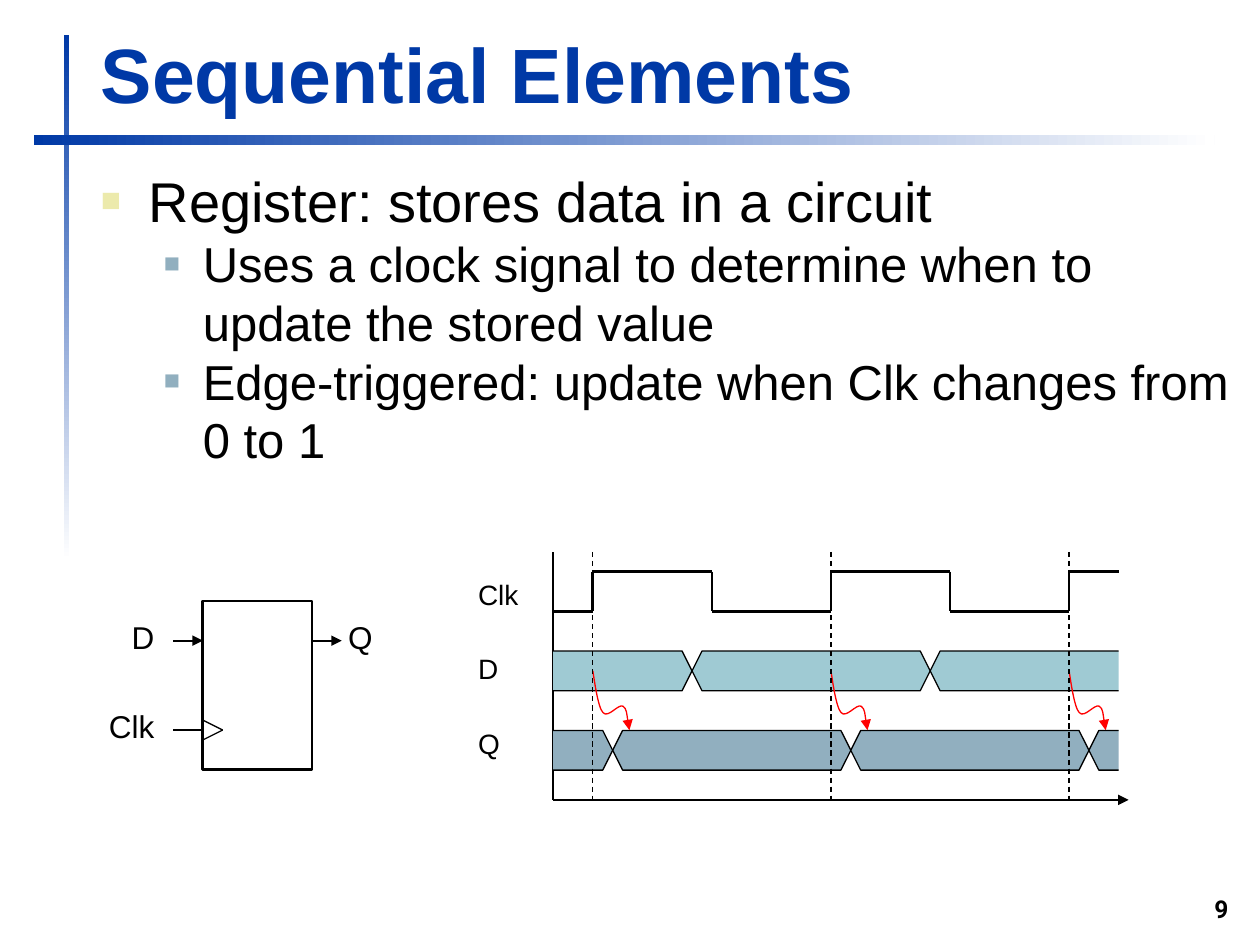
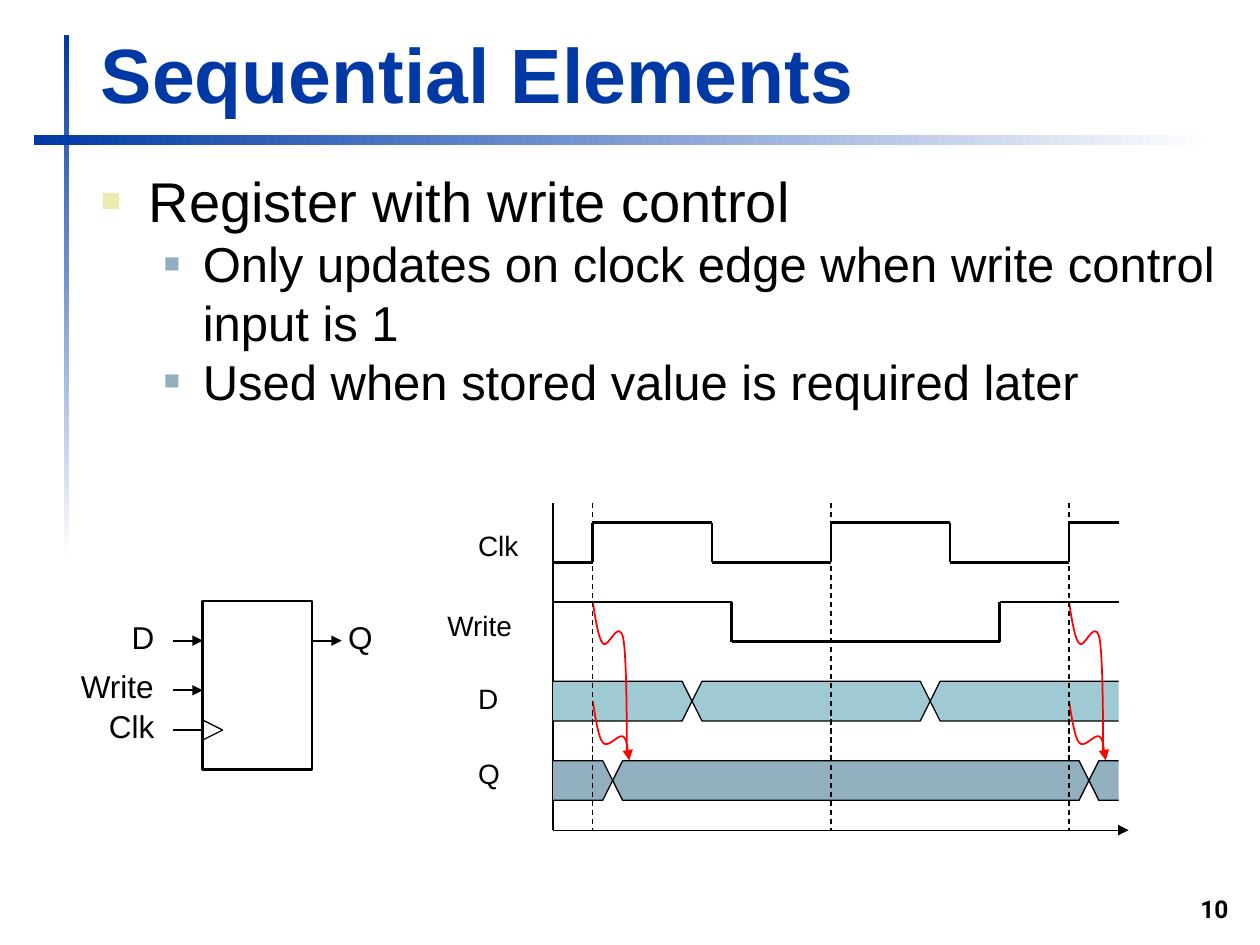
from dataclasses import dataclass
from typing import Any

from lxml import etree
from pptx import Presentation
from pptx.dml.color import RGBColor
from pptx.enum.dml import MSO_LINE
from pptx.enum.shapes import MSO_CONNECTOR, MSO_SHAPE
from pptx.enum.text import MSO_ANCHOR, PP_ALIGN
from pptx.oxml.ns import qn
from pptx.util import Inches, Pt

BLUE = RGBColor(0x00, 0x39, 0xA6)
WHITE = RGBColor(0xFF, 0xFF, 0xFF)
BLACK = RGBColor(0x00, 0x00, 0x00)
RED = RGBColor(0xFF, 0x00, 0x00)
CREAM = RGBColor(0xEC, 0xEA, 0xAC)
STEEL = RGBColor(0x91, 0xAF, 0xBF)
AQUA = RGBColor(0x9F, 0xCA, 0xD3)

CELL = Inches(0.1)           # the slide is 100 columns by 75 rows
PERIOD = 18.9                # one clock period in columns
UNIT = CELL * PERIOD / 12    # grid step of both diagrams
INSET = Inches(0.05)
LABEL_EMS = {"D": 0.74, "Q": 0.82, "Clk": 1.46, "Write": 2.35}

# Timing diagram, in units from its top left corner
CLOCK_EDGES = (2, 14, 26)
TIME_END = 28.5
BUS_HEIGHT = 2
ROW_PITCH = 4

# Bezier points in inches from the start of each cause-and-effect arrow
DATA_ARROW = ((0.01, 0.06), (0.04, 0.29), (0.08, 0.33), (0.12, 0.38), (0.2, 0.26),
              (0.24, 0.28), (0.27, 0.3), (0.28, 0.43), (0.29, 0.47))
WRITE_ARROW = ((0.01, 0.06), (0.04, 0.29), (0.08, 0.33), (0.12, 0.38), (0.2, 0.13),
               (0.24, 0.28), (0.27, 0.42), (0.27, 1.01), (0.27, 1.2))


def cells(*values):
    return [round(value * CELL) for value in values]


def style_line(shape, color, width, arrow=False, dashed=False):
    shape.line.color.rgb = color
    shape.line.width = Pt(width)
    if dashed:
        shape.line.dash_style = MSO_LINE.DASH
    properties = shape._element.spPr
    if arrow:
        etree.SubElement(properties.find(qn("a:ln")), qn("a:tailEnd"), type="triangle")
    if properties.find(qn("a:effectLst")) is None:
        etree.SubElement(properties, qn("a:effectLst"))


def add_bullet(paragraph, color, percent, margin, hanging):
    properties = paragraph._p.get_or_add_pPr()
    properties.set("marL", str(Inches(margin)))
    properties.set("indent", str(-Inches(hanging)))
    bullet_color = etree.SubElement(properties, qn("a:buClr"))
    etree.SubElement(bullet_color, qn("a:srgbClr"), val=str(color))
    etree.SubElement(properties, qn("a:buSzPct"), val=str(percent * 1000))
    etree.SubElement(properties, qn("a:buFont"), typeface="Arial")
    etree.SubElement(properties, qn("a:buChar"), char="■")


def format_paragraph(paragraph, text, size=18, font="Arial", color=BLACK,
                     bold=False, align=PP_ALIGN.LEFT):
    paragraph.text = text
    paragraph.alignment = align
    paragraph.font.name = font
    paragraph.font.size = Pt(size)
    paragraph.font.bold = bold
    paragraph.font.color.rgb = color


def add_frame(shapes, box, wrap=True, anchor=MSO_ANCHOR.TOP):
    frame = shapes.add_textbox(*box).text_frame
    frame.word_wrap = wrap
    frame.vertical_anchor = anchor
    frame.margin_left = frame.margin_right = INSET
    frame.margin_top = frame.margin_bottom = INSET
    return frame


def add_text(shapes, box, text, wrap=True, anchor=MSO_ANCHOR.TOP, **text_format):
    frame = add_frame(shapes, box, wrap, anchor)
    format_paragraph(frame.paragraphs[0], text, **text_format)


@dataclass
class Panel:
    """A diagram area whose parts are placed in units from its corner."""
    shapes: Any
    left: int
    top: int

    def point(self, x, y):
        return round(self.left + x * UNIT), round(self.top + y * UNIT)

    def line(self, start, end, width=0.75, **options):
        connector = self.shapes.add_connector(
            MSO_CONNECTOR.STRAIGHT, *self.point(*start), *self.point(*end))
        style_line(connector, BLACK, width, **options)

    def label(self, text, x, y, size, right=False):
        width = round(LABEL_EMS[text] * Pt(size)) + 2 * INSET
        left, top = self.point(x, y)
        box = (left - width if right else left, top, width, Pt(size * 1.12) + 2 * INSET)
        add_text(self.shapes, box, text, wrap=False, size=size)

    def steps(self, points):
        for start, end in zip(points, points[1:]):
            self.line(start, end, width=1.5)

    def bus(self, row, crossings, fill):
        """Draw the valid-data cells between the crossings, open at both ends."""
        bottom, middle = row + BUS_HEIGHT, row + BUS_HEIGHT / 2
        ends = (0, *crossings, TIME_END)
        for start, end in zip(ends, ends[1:]):
            left_tip = [(start, middle)] if start else []
            right_tip = [(end, middle)] if end < TIME_END else []
            near = start + 0.5 if left_tip else start
            far = end - 0.5 if right_tip else end
            if right_tip:
                outline = [(near, row), (far, row), *right_tip, (far, bottom), (near, bottom)]
                outline += left_tip
            else:
                outline = [(far, row), (near, row), *left_tip, (near, bottom), (far, bottom)]
            points = [self.point(*corner) for corner in outline]
            builder = self.shapes.build_freeform(*points[0])
            builder.add_line_segments(points[1:], close=bool(left_tip and right_tip))
            shape = builder.convert_to_shape()
            shape.fill.solid()
            shape.fill.fore_color.rgb = fill
            style_line(shape, BLACK, 0.75)

    def curve(self, start, offsets, width, arrow=False):
        left, top = self.point(*start)
        builder = self.shapes.build_freeform(left, top)
        builder.add_line_segments(
            [(left + Inches(x), top + Inches(y)) for x, y in offsets], close=False)
        shape = builder.convert_to_shape()
        shape.fill.background()
        # Every three straight segments become one Bezier segment
        outline = next(shape._element.iter(qn("a:path")))
        segments = outline.findall(qn("a:lnTo"))
        for index, segment in enumerate(segments):
            if index % 3 == 0:
                bezier = etree.SubElement(outline, qn("a:cubicBezTo"))
            bezier.append(segment[0])
            outline.remove(segment)
        style_line(shape, RED, width, arrow=arrow)


def add_band(slide, box, angle):
    band = slide.shapes.add_shape(MSO_SHAPE.RECTANGLE, *cells(*box))
    band.shadow.inherit = False
    band.line.fill.background()
    band.fill.gradient()
    band.fill.gradient_angle = angle
    for stop, color in zip(band.fill.gradient_stops, (BLUE, WHITE)):
        stop.color.rgb = color


def add_slide_frame(slide, title, number):
    add_band(slide, (5.1, 2.8, 0.4, 41.7), 270)
    add_band(slide, (2.7, 10.7, 93.7, 0.8), 0)
    add_text(slide.shapes, cells(93.5, 70.6, 4.5, 3.2), str(number), anchor=MSO_ANCHOR.BOTTOM,
             size=14, font="Roboto", bold=True, align=PP_ALIGN.RIGHT)
    add_text(slide.shapes, cells(7.5, 1.6, 90.3, 8.3), title, anchor=MSO_ANCHOR.BOTTOM,
             size=44, color=BLUE, bold=True)


def add_body(slide, box, heading, points):
    frame = add_frame(slide.shapes, cells(*box))
    first = frame.paragraphs[0]
    add_bullet(first, CREAM, 60, 0.38, 0.38)
    format_paragraph(first, heading, size=32)
    for point in points:
        paragraph = frame.add_paragraph()
        paragraph.level = 1
        add_bullet(paragraph, STEEL, 55, 0.81, 0.31)
        format_paragraph(paragraph, point, size=28)


def add_register(slide, left, top, has_write):
    panel = Panel(slide.shapes.add_group_shape().shapes, *cells(left, top))
    width, height, lead, clock_row = 5.5, 8.5, 1.5, 6.5
    body = panel.shapes.add_shape(MSO_SHAPE.RECTANGLE, *panel.point(0, 0),
                                  round(width * UNIT), round(height * UNIT))
    body.fill.background()
    style_line(body, BLACK, 1.5)

    # Inputs on the left, output on the right
    inputs = {"D": 2, "Clk": clock_row}
    if has_write:
        inputs["Write"] = 4.5
    for name, row in inputs.items():
        is_clock = name == "Clk"
        panel.line((-lead, row), (0, row), width=0.75 if is_clock else 1, arrow=not is_clock)
        panel.label(name, -lead - 0.6, row - 1.48, 18, right=True)
    panel.line((width, 2), (width + lead, 2), width=1, arrow=True)
    panel.label("Q", width + lead, 2 - 1.48, 18)

    # Clock wedge
    for offset in (-0.5, 0.5):
        panel.line((0, clock_row + offset), (1, clock_row))


def add_timing(slide, left, top, has_write):
    panel = Panel(slide.shapes.add_group_shape().shapes, *cells(left, top))
    clock_row = 1
    write_row = clock_row + ROW_PITCH
    data_row = write_row + ROW_PITCH if has_write else write_row
    output_row = data_row + ROW_PITCH
    axis_row = output_row + 3.5
    updates = CLOCK_EDGES[::2] if has_write else CLOCK_EDGES

    # Clock wave
    wave = [(0, clock_row + 2)]
    for edge in CLOCK_EDGES:
        wave += [(edge, clock_row + 2), (edge, clock_row)]
        if edge != CLOCK_EDGES[-1]:
            wave += [(edge + 6, clock_row), (edge + 6, clock_row + 2)]
    panel.steps(wave + [(TIME_END, clock_row)])
    panel.label("Clk", -4.1, clock_row, 16)

    # Write wave
    if has_write:
        low = write_row + 2
        panel.steps([(0, write_row), (9, write_row), (9, low),
                     (22.5, low), (22.5, write_row), (TIME_END, write_row)])
        panel.label("Write", -5.65, write_row, 16)

    # Axes
    panel.line((0, axis_row), (29, axis_row), arrow=True)
    panel.line((0, axis_row), (0, 0))

    # Data and output buses
    panel.label("D", -4.1, data_row - 0.3, 16)
    panel.label("Q", -4.1, output_row - 0.5, 16)
    panel.bus(data_row, (7, 19), AQUA)
    panel.bus(output_row, [edge + 1 for edge in updates], STEEL)

    # Updates caused by clock edges
    for edge in updates:
        panel.curve((edge, data_row + 1), DATA_ARROW, 1 if has_write else 0.75, arrow=True)
        if has_write:
            panel.curve((edge, write_row), WRITE_ARROW, 1)
    for edge in CLOCK_EDGES:
        panel.line((edge, 0), (edge, axis_row), dashed=True)


def add_element_slide(presentation, number, heading, points, body_height, timing_top, has_write):
    slide = presentation.slides.add_slide(presentation.slide_layouts[6])
    add_slide_frame(slide, "Sequential Elements", number)
    add_body(slide, (7.5, 12.7, 90.5, body_height), heading, points)
    add_register(slide, 16.1, 47.7, has_write)
    add_timing(slide, 43.9, timing_top, has_write)


def main():
    presentation = Presentation()
    presentation.slide_width, presentation.slide_height = cells(100, 75)
    add_element_slide(
        presentation, 9, "Register: stores data in a circuit",
        ["Uses a clock signal to determine when to update the stored value",
         "Edge-triggered: update when Clk changes from 0 to 1"],
        body_height=30.2, timing_top=43.8, has_write=False)
    add_element_slide(
        presentation, 10, "Register with write control",
        ["Only updates on clock edge when write control input is 1",
         "Used when stored value is required later"],
        body_height=25.2, timing_top=39.9, has_write=True)
    presentation.save("out.pptx")


if __name__ == "__main__":
    main()
